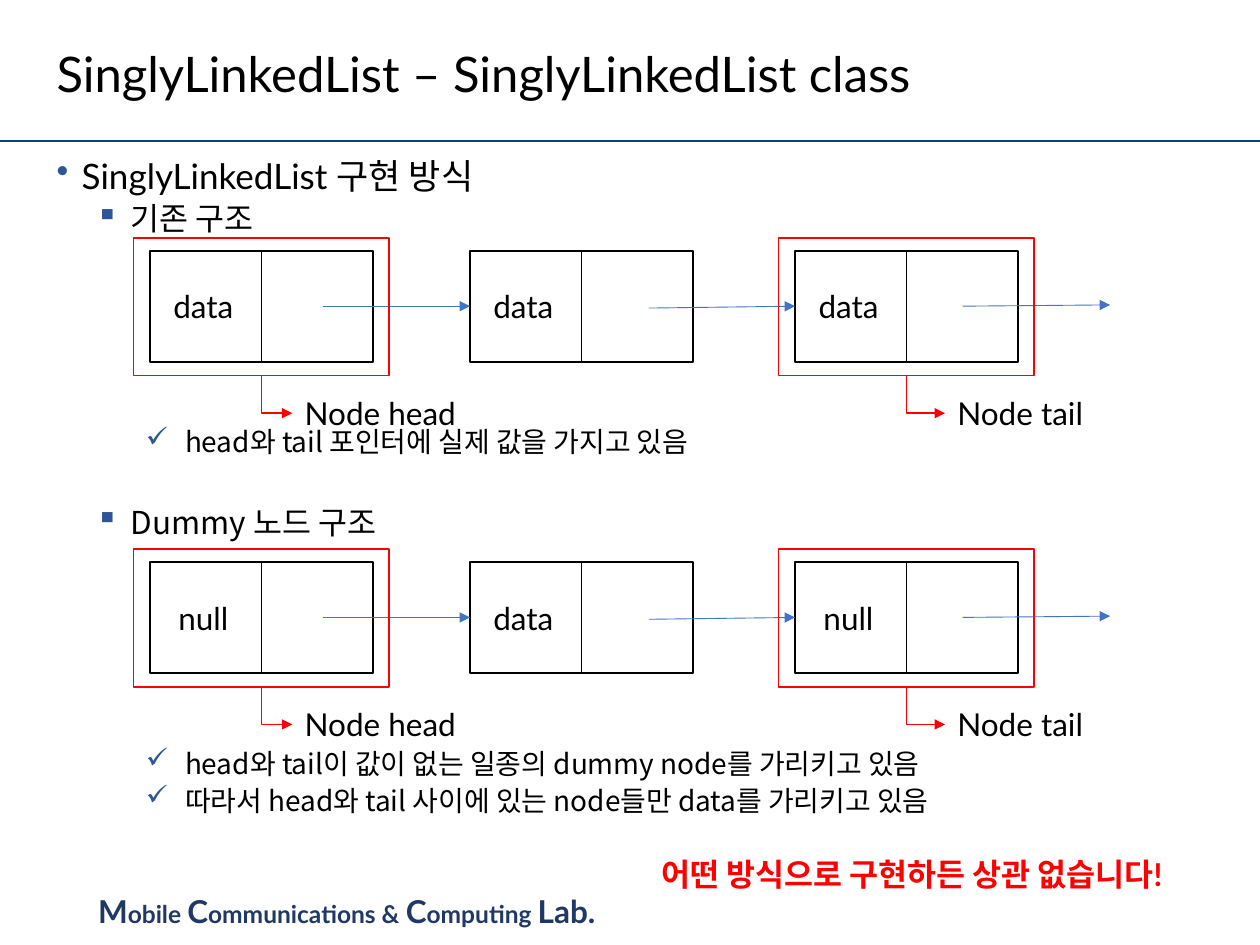
from lxml.etree import SubElement
from pptx import Presentation
from pptx.dml.color import RGBColor
from pptx.enum.shapes import MSO_CONNECTOR, MSO_SHAPE
from pptx.enum.text import MSO_ANCHOR
from pptx.oxml.ns import qn
from pptx.util import Inches, Pt

# Content
TITLE = "SinglyLinkedList – SinglyLinkedList class"
LATIN, KOREAN = "Lato", "Noto Sans CJK KR"
COLORS = {"text": "000000", "rule": "00467F", "bullet": "2F5597",
          "arrow": "4472C4", "accent": "FF0000", "lab": "203864"}
LEVELS = [  # bullet, size, indent, hanging, space before, font
    ("•", 20, 0.2, 0.2, 7.5, LATIN),
    ("▪", 18, 0.59, 0.28, 3.8, KOREAN),
    ("✓", 16, 1.02, 0.31, 3.8, KOREAN),
]
OUTLINE = [  # top of block, (level, wording)
    (1.21, [(0, "SinglyLinkedList 구현 방식"), (1, "기존 구조")]),
    (3.35, [(2, "head와 tail 포인터에 실제 값을 가지고 있음")]),
    (3.97, [(1, "Dummy 노드 구조")]),
    (5.9, [(2, "head와 tail이 값이 없는 일종의 dummy node를 가리키고 있음"),
           (2, "따라서 head와 tail 사이에 있는 node들만 data를 가리키고 있음")]),
]
LISTS = [  # top of the nodes, values
    (1.99, ("data", "data", "data")),
    (4.46, ("null", "data", "null")),
]
NODE_LEFTS = (1.19, 3.73, 6.31)
ARROWS = [(2.56, 0.44, 3.73, 0.44), (5.15, 0.455, 6.31, 0.44), (7.64, 0.44, 8.81, 0.43)]
POINTERS = [  # frame left, label left, label width, label
    (1.06, 2.32, 1.4, "Node head"),
    (6.18, 7.5, 1.23, "Node tail"),
]
LAB = [("M", 18), ("obile ", 14), ("C", 18), ("ommunications & ", 14),
       ("C", 18), ("omputing ", 14), ("Lab.", 18)]
MESSAGE = "어떤 방식으로 구현하든 상관 없습니다!"
CELL, MARGIN, LABEL_HEIGHT = 0.885, 0.1, 0.4
FRAME_WIDTH, FRAME_HEIGHT, DROP = 2.03, 1.09, 0.3

presentation = Presentation()
presentation.slide_width, presentation.slide_height = Inches(10), Inches(7.5)
slide = presentation.slides.add_slide(presentation.slide_layouts[6])


def rgb(name):
    return RGBColor.from_string(COLORS[name])


def add_run(paragraph, text, size=18, font=LATIN, color="text", bold=False):
    run = paragraph.add_run()
    run.text = text
    run.font.size, run.font.name, run.font.bold = Pt(size), font, bold
    run.font.color.rgb = rgb(color)
    SubElement(run.font._element, qn("a:ea")).set("typeface", KOREAN)


def add_box(left, top, width, height, wrap=False, anchor=MSO_ANCHOR.TOP):
    box = slide.shapes.add_textbox(*map(Inches, (left, top, width, height)))
    box.text_frame.word_wrap = wrap
    box.text_frame.vertical_anchor = anchor
    return box.text_frame


def add_text(text, left, top, width, height=LABEL_HEIGHT, wrap=False,
             anchor=MSO_ANCHOR.TOP, **style):
    paragraph = add_box(left, top, width, height, wrap, anchor).paragraphs[0]
    add_run(paragraph, text, **style)


def add_bullet(paragraph, level, text):
    mark, size, indent, hanging, before, font = LEVELS[level]
    paragraph.space_before = Pt(before)
    paragraph.line_spacing = Pt(round(size * 1.08, 1))
    properties = paragraph._p.get_or_add_pPr()
    properties.set("marL", str(Inches(indent)))
    properties.set("indent", str(-Inches(hanging)))
    color = SubElement(properties, qn("a:buClr"))
    SubElement(color, qn("a:srgbClr")).set("val", COLORS["bullet"])
    SubElement(properties, qn("a:buChar")).set("char", mark)
    add_run(paragraph, text, size=size, font=font)


def add_rectangle(left, top, width, height, color):
    shape = slide.shapes.add_shape(
        MSO_SHAPE.RECTANGLE, *map(Inches, (left, top, width, height)))
    shape.shadow.inherit = False
    shape.fill.background()
    shape.line.color.rgb, shape.line.width = rgb(color), Pt(1)


def add_line(x1, y1, x2, y2, color, width, arrow=True, kind=MSO_CONNECTOR.STRAIGHT):
    connector = slide.shapes.add_connector(kind, *map(Inches, (x1, y1, x2, y2)))
    connector.line.color.rgb, connector.line.width = rgb(color), Pt(width)
    if arrow:
        SubElement(connector.line._get_or_add_ln(), qn("a:tailEnd")).set("type", "triangle")
    SubElement(connector._element.spPr, qn("a:effectLst"))
    return connector


def add_corner_arrow(x1, y1, x2, y2):
    """Goes down first, then right: a mirrored elbow turned by 270 degrees."""
    half_run, half_drop = (x2 - x1) / 2, (y2 - y1) / 2
    x, y = x1 + half_run, y1 + half_drop
    connector = add_line(x - half_drop, y - half_run, x + half_drop, y + half_run,
                         "accent", 1, kind=MSO_CONNECTOR.ELBOW)
    properties = connector._element.spPr
    properties.find(qn("a:prstGeom")).set("prst", "bentConnector2")
    transform = properties.find(qn("a:xfrm"))
    transform.set("rot", str(270 * 60000))
    transform.set("flipH", "1")


# Footer, rule and title
footer = add_box(0.68, 7.03, 4.53, LABEL_HEIGHT).paragraphs[0]
for text, size in LAB:
    add_run(footer, text, size=size, color="lab", bold=True)
add_line(0, 1.12, 10, 1.12, "rule", 1.5, arrow=False)
add_text(TITLE, 0.35, 0.14, 9.31, 0.88, wrap=True, anchor=MSO_ANCHOR.MIDDLE, size=28)

# Outline
for top, items in OUTLINE:
    frame = add_box(0.35, top, 9.31, 0.1 + 0.34 * len(items), wrap=True)
    for index, (level, text) in enumerate(items):
        paragraph = frame.add_paragraph() if index else frame.paragraphs[0]
        add_bullet(paragraph, level, text)

# Linked lists
for top, values in LISTS:
    for left, value in zip(NODE_LEFTS, values):
        for column in range(2):
            add_rectangle(left + column * CELL, top, CELL, CELL, "text")
        width = 0.71 if value == "data" else 0.63
        add_text(value, left + (CELL - width) / 2, top + (CELL - LABEL_HEIGHT) / 2, width)
    for x1, y1, x2, y2 in ARROWS:
        add_line(x1, top + y1, x2, top + y2, "arrow", 0.5)
    for left, label_left, width, label in POINTERS:
        frame_top = top - MARGIN
        bottom = frame_top + FRAME_HEIGHT
        add_rectangle(left, frame_top, FRAME_WIDTH, FRAME_HEIGHT, "accent")
        add_text(label, label_left, bottom + DROP - LABEL_HEIGHT / 2, width)
        add_corner_arrow(left + FRAME_WIDTH / 2, bottom, label_left, bottom + DROP)

# Closing message
add_text(MESSAGE, 5.15, 6.74, 4.64, color="accent", bold=True)

presentation.save("out.pptx")
